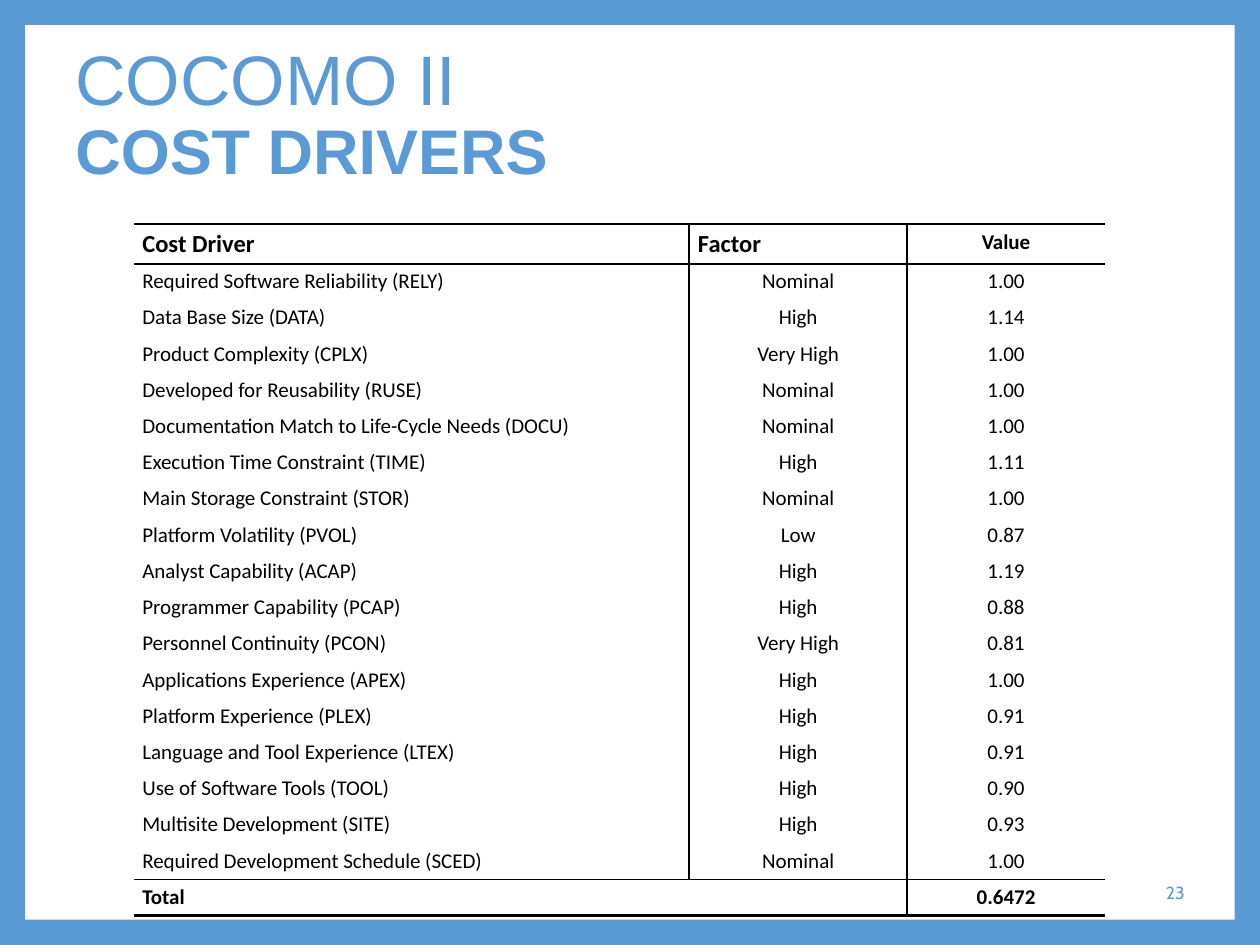
from lxml.etree import SubElement
from pptx import Presentation
from pptx.dml.color import RGBColor
from pptx.enum.shapes import MSO_SHAPE
from pptx.enum.text import MSO_ANCHOR, PP_ALIGN
from pptx.oxml.ns import qn
from pptx.util import Inches, Pt

BLUE = RGBColor(0x5B, 0x9B, 0xD5)
WHITE = RGBColor(0xFF, 0xFF, 0xFF)
BLACK = RGBColor(0, 0, 0)

HEADER = ("Cost Driver", "Factor", "Value")
DRIVERS = [
    ("Required Software Reliability (RELY)", "Nominal", "1.00"),
    ("Data Base Size (DATA)", "High", "1.14"),
    ("Product Complexity (CPLX)", "Very High", "1.00"),
    ("Developed for Reusability (RUSE)", "Nominal", "1.00"),
    ("Documentation Match to Life-Cycle Needs (DOCU)", "Nominal", "1.00"),
    ("Execution Time Constraint (TIME)", "High", "1.11"),
    ("Main Storage Constraint (STOR)", "Nominal", "1.00"),
    ("Platform Volatility (PVOL)", "Low", "0.87"),
    ("Analyst Capability (ACAP)", "High", "1.19"),
    ("Programmer Capability (PCAP)", "High", "0.88"),
    ("Personnel Continuity (PCON)", "Very High", "0.81"),
    ("Applications Experience (APEX)", "High", "1.00"),
    ("Platform Experience (PLEX)", "High", "0.91"),
    ("Language and Tool Experience (LTEX)", "High", "0.91"),
    ("Use of Software Tools (TOOL)", "High", "0.90"),
    ("Multisite Development (SITE)", "High", "0.93"),
    ("Required Development Schedule (SCED)", "Nominal", "1.00"),
]
TOTAL = ("Total", "", "0.6472")


def style_run(r, font, size, color, bold=False):
    """Set the font of one run."""
    r.font.name = font
    r.font.size = Pt(size)
    r.font.color.rgb = color
    r.font.bold = bold


def add_panel(s, left, top, width, height):
    """Place the white panel that leaves a blue frame around it."""
    sp = s.shapes.add_shape(MSO_SHAPE.RECTANGLE, Inches(left), Inches(top),
                            Inches(width), Inches(height))
    sp.shadow.inherit = False
    sp.fill.solid()
    sp.fill.fore_color.rgb = WHITE
    sp.line.fill.background()


def add_text(s, text, left, top, width, height):
    """Place a wrapped, vertically centred text box and return its paragraph."""
    tf = s.shapes.add_textbox(Inches(left), Inches(top), Inches(width), Inches(height)).text_frame
    tf.word_wrap = True
    tf.vertical_anchor = MSO_ANCHOR.MIDDLE
    p = tf.paragraphs[0]
    p.text = text
    return p


def add_title(s, left, top, width, height):
    """Place the two-line title."""
    p = add_text(s, "COCOMO II\vCOST DRIVERS", left, top, width, height)
    p.line_spacing = 0.9
    style_run(p.runs[0], "Arial", 40, BLUE)
    style_run(p.runs[1], "Arial", 36, BLUE, True)


def add_page_number(s, left, top, width, height):
    """Place the right-aligned page number."""
    p = add_text(s, "23", left, top, width, height)
    p.alignment = PP_ALIGN.RIGHT
    style_run(p.runs[0], "Cabin", 10, BLUE)


def set_borders(cell, **weights):
    """Draw the cell sides L, R, T and B in points, where 0 means no line."""
    tc_pr = cell._tc.get_or_add_tcPr()
    for side in "LRTB":
        weight = weights[side]
        ln = SubElement(tc_pr, qn(f"a:ln{side}"), w=str(Pt(weight)))
        if weight:
            fill = SubElement(ln, qn("a:solidFill"))
            SubElement(fill, qn("a:srgbClr"), val=str(BLACK))
        else:
            SubElement(ln, qn("a:noFill"))


def fill_cell(cell, text, size, bold, centered, middle):
    """Write and format the text of one cell."""
    cell.fill.background()
    cell.margin_left = cell.margin_right = Inches(0.07)
    cell.margin_top = cell.margin_bottom = Inches(0.04)
    cell.vertical_anchor = MSO_ANCHOR.MIDDLE if middle else MSO_ANCHOR.TOP
    p = cell.text_frame.paragraphs[0]
    p.text = text
    p.alignment = PP_ALIGN.CENTER if centered else PP_ALIGN.LEFT
    for r in p.runs:
        style_run(r, "Calibri", size, BLACK, bold)


def add_driver_table(s, left, top, width, height):
    """Place the cost driver table with its header and total rows."""
    rows = [HEADER, *DRIVERS, TOTAL]
    last = len(rows) - 1
    header_height = 0.31
    table = s.shapes.add_table(len(rows), len(HEADER), Inches(left), Inches(top),
                               Inches(width), Inches(height)).table
    table.first_row = table.horz_banding = False
    for column, share in zip(table.columns, (4.41, 1.73, 1.57)):
        column.width = Inches(share)
    row_lines = {0: 1.5, 1: 1.5, last: 1, last + 1: 1.5}
    for i, values in enumerate(rows):
        table.rows[i].height = Inches(header_height if i == 0 else (height - header_height) / last)
        column_lines = (0, 0 if i == last else 1, 1, 0)
        for j, text in enumerate(values):
            cell = table.cell(i, j)
            set_borders(cell, L=column_lines[j], R=column_lines[j + 1],
                        T=row_lines.get(i, 0), B=row_lines.get(i + 1, 0))
            fill_cell(cell, text,
                      size=14 if i == 0 and j < 2 else 12,
                      bold=i in (0, last),
                      centered=j == 2 or (j == 1 and i > 0),
                      middle=i == last or (i == 0 and j == 0))
    table.cell(last, 0).merge(table.cell(last, 1))


def main():
    """Build the slide and save it."""
    prs = Presentation()
    prs.slide_width, prs.slide_height = Inches(10), Inches(7.5)
    s = prs.slides.add_slide(prs.slide_layouts[6])
    s.background.fill.solid()
    s.background.fill.fore_color.rgb = BLUE
    add_panel(s, 0.2, 0.2, 9.6, 7.1)
    add_title(s, 0.5, 0.3, 9, 1.25)
    add_driver_table(s, 1.06, 1.78, 7.72, 5.49)
    add_page_number(s, 7.17, 6.83, 2.33, 0.5)
    prs.save("out.pptx")


if __name__ == "__main__":
    main()
